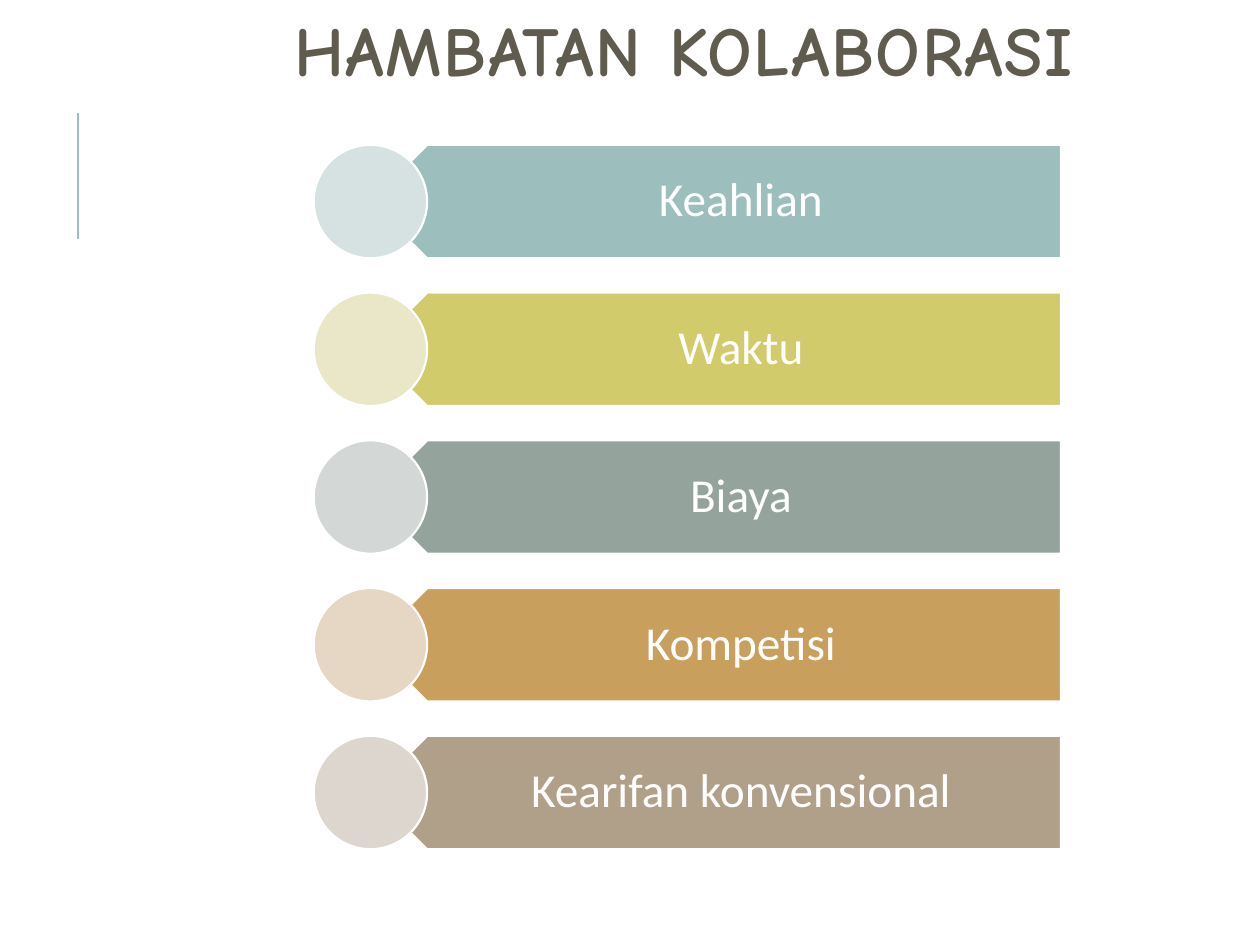
from pptx import Presentation
from pptx.dml.color import RGBColor
from pptx.enum.shapes import MSO_CONNECTOR, MSO_SHAPE
from pptx.enum.text import MSO_ANCHOR, MSO_AUTO_SIZE, PP_ALIGN
from pptx.oxml.ns import qn
from pptx.util import Inches, Pt
from lxml import etree

STRAIGHT = MSO_CONNECTOR.STRAIGHT
PENTAGON = MSO_SHAPE.PENTAGON
OVAL = MSO_SHAPE.OVAL
MIDDLE = MSO_ANCHOR.MIDDLE
NO_FIT = MSO_AUTO_SIZE.NONE
CENTER = PP_ALIGN.CENTER

WHITE = RGBColor(0xFF, 0xFF, 0xFF)
BROWN = RGBColor(0x60, 0x5B, 0x4F)
TEAL = RGBColor(0x9C, 0xBE, 0xBD)
PALE_TEAL = RGBColor(0xD5, 0xE2, 0xE1)
LIME = RGBColor(0xD2, 0xCB, 0x6C)
PALE_LIME = RGBColor(0xEA, 0xE7, 0xC8)
SAGE = RGBColor(0x95, 0xA3, 0x9D)
PALE_SAGE = RGBColor(0xD3, 0xD7, 0xD5)
OCHRE = RGBColor(0xC8, 0x9F, 0x5D)
PALE_OCHRE = RGBColor(0xE6, 0xD6, 0xC4)
TAUPE = RGBColor(0xB1, 0xA0, 0x89)
PALE_TAUPE = RGBColor(0xDD, 0xD6, 0xCF)

BARRIERS = [
    ("Keahlian", TEAL, PALE_TEAL),
    ("Waktu", LIME, PALE_LIME),
    ("Biaya", SAGE, PALE_SAGE),
    ("Kompetisi", OCHRE, PALE_OCHRE),
    ("Kearifan konvensional", TAUPE, PALE_TAUPE),
]
FIRST_TOP, LAST_TOP, ROW_HEIGHT = 1.15, 5.84, 0.9
PITCH = (LAST_TOP - FIRST_TOP) / (len(BARRIERS) - 1)


class BarrierSlide:
    """Holds the style and the slide, and draws each kind of element."""

    heading_font = "Comic Neue"
    body_font = "Calibri"

    def __init__(self, slide):
        self.slide = slide

    def set_text(self, frame, text, font_name, size, color, line_spacing):
        frame.word_wrap = True
        frame.auto_size = NO_FIT
        frame.vertical_anchor = MIDDLE
        paragraph = frame.paragraphs[0]
        paragraph.text = text
        paragraph.alignment = CENTER
        paragraph.line_spacing = line_spacing
        paragraph.font.name = font_name
        paragraph.font.size = Pt(size)
        paragraph.font.color.rgb = color
        return paragraph

    def title(self, text, left, top, width, height):
        heading = self.slide.shapes.title
        heading.left, heading.top = Inches(left), Inches(top)
        heading.width, heading.height = Inches(width), Inches(height)
        paragraph = self.set_text(heading.text_frame, text, self.heading_font, 40, BROWN, 0.8)
        paragraph.font.bold = True
        paragraph.runs[0].font._element.set("spc", "100")

    def accent_line(self, x, top, bottom):
        accent = self.slide.shapes.add_connector(
            STRAIGHT, Inches(x), Inches(bottom), Inches(x), Inches(top))
        accent.line.color.rgb = TEAL
        accent.line.width = Pt(1.5)
        etree.SubElement(accent._element.spPr, qn("a:effectLst"))

    def shape(self, kind, left, top, width, fill, rotation=0):
        figure = self.slide.shapes.add_shape(
            kind, Inches(left), Inches(top), Inches(width), Inches(ROW_HEIGHT))
        figure.rotation = rotation
        figure.shadow.inherit = False
        figure.fill.solid()
        figure.fill.fore_color.rgb = fill
        figure.line.color.rgb = WHITE
        figure.line.width = Pt(1.25)

    def label(self, text, left, top, width):
        frame = self.slide.shapes.add_textbox(
            Inches(left), Inches(top), Inches(width), Inches(ROW_HEIGHT)).text_frame
        frame.margin_left, frame.margin_right = Inches(0.4), Inches(0.21)
        frame.margin_top = frame.margin_bottom = Inches(0.11)
        self.set_text(frame, text, self.body_font, 27, WHITE, 0.9)

    def barrier(self, text, top, bar_color, circle_color):
        self.shape(PENTAGON, 2.94, top, 5.48, bar_color, rotation=180)
        self.label(text, 3.16, top, 5.25)
        self.shape(OVAL, 2.49, top, ROW_HEIGHT, circle_color)


def main():
    deck = Presentation()
    deck.slide_width, deck.slide_height = Inches(10), Inches(7.5)
    page = BarrierSlide(deck.slides.add_slide(deck.slide_layouts[5]))
    page.accent_line(0.62, 0.9, 1.9)
    for row, (text, bar_color, circle_color) in enumerate(BARRIERS):
        page.barrier(text, FIRST_TOP + row * PITCH, bar_color, circle_color)
    page.title("HAMBATAN KOLABORASI", 0.98, 0.14, 8.9, 0.61)
    deck.save("out.pptx")


if __name__ == "__main__":
    main()
